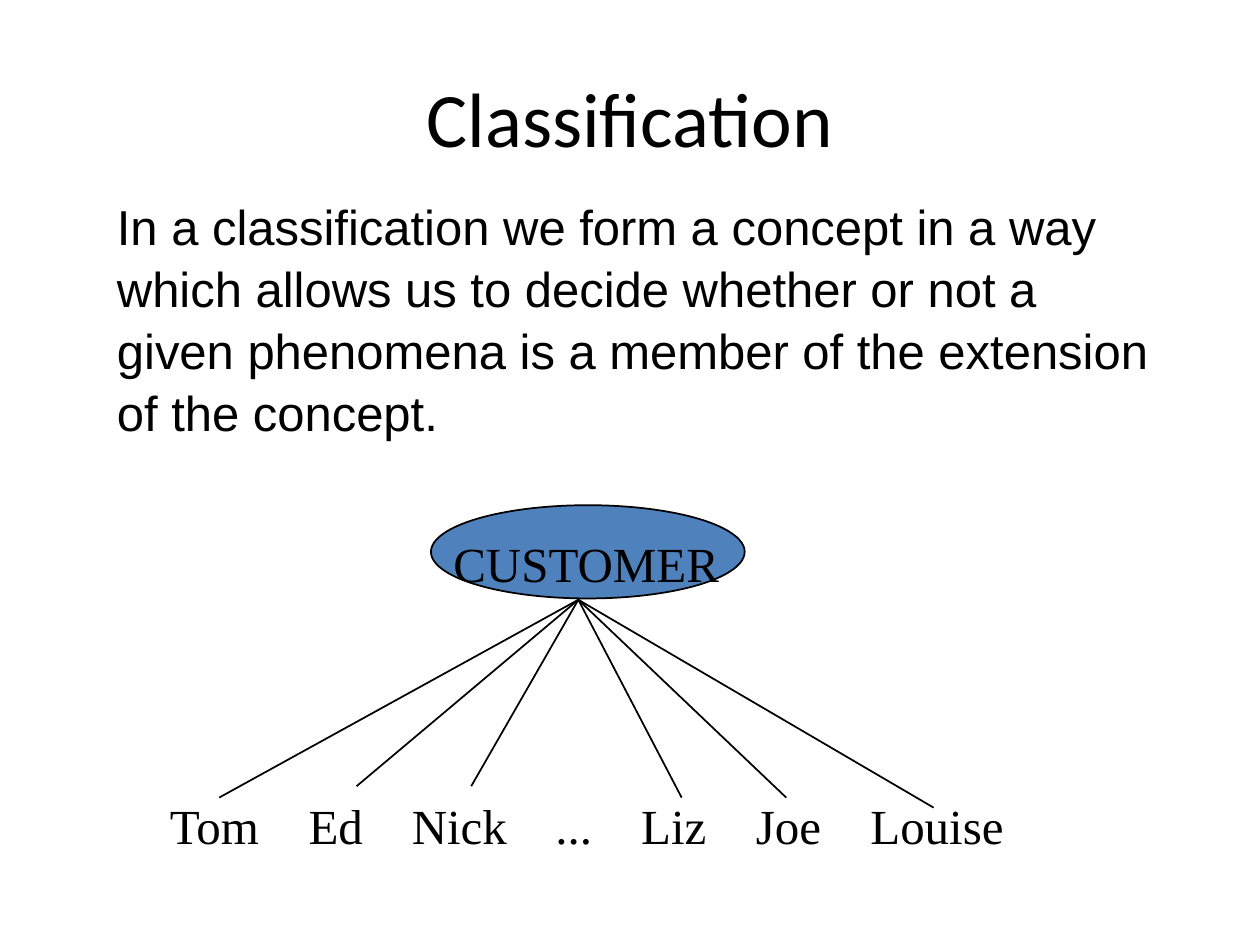
from pptx import Presentation
from pptx.dml.color import RGBColor
from pptx.enum.shapes import MSO_CONNECTOR, MSO_SHAPE
from pptx.enum.text import MSO_ANCHOR, PP_ALIGN
from pptx.oxml.ns import qn
from pptx.util import Inches, Pt
from lxml import etree

STRAIGHT = MSO_CONNECTOR.STRAIGHT
OVAL = MSO_SHAPE.OVAL
TOP, MIDDLE = MSO_ANCHOR.TOP, MSO_ANCHOR.MIDDLE
LEFT, CENTER = PP_ALIGN.LEFT, PP_ALIGN.CENTER
BLACK, BLUE = "000000", "4F81BD"
SERIF = "Times New Roman"


def color(hex_string):
    return RGBColor.from_string(hex_string)


def add_text(text, left, top, width, height, font="Arial", size=28,
             align=LEFT, anchor=TOP, spacing=1.05, tabs=()):
    box = slide.shapes.add_textbox(Inches(left), Inches(top), Inches(width), Inches(height))
    frame = box.text_frame
    frame.word_wrap = True
    frame.vertical_anchor = anchor
    paragraph = frame.paragraphs[0]
    paragraph.text = text
    paragraph.alignment = align
    paragraph.line_spacing = spacing
    if tabs:
        tab_list = etree.SubElement(paragraph._p.get_or_add_pPr(), qn("a:tabLst"))
        for position in tabs:
            etree.SubElement(tab_list, qn("a:tab"), pos=str(Inches(position)), algn="l")
    run_font = paragraph.runs[0].font
    run_font.name = font
    run_font.size = Pt(size)
    run_font.color.rgb = color(BLACK)


presentation = Presentation()
presentation.slide_width = Inches(10)
presentation.slide_height = Inches(7.5)
slide = presentation.slides.add_slide(presentation.slide_layouts[6])

# Title and definition
add_text("Classification", 0.5, 0.3, 9, 1.25, font="Calibri", size=44,
         align=CENTER, anchor=MIDDLE, spacing=1.0)
add_text("In a classification we form a concept in a way which allows us to decide "
         "whether or not a given phenomena is a member of the extension of the concept.",
         0.83, 1.49, 8.43, 1.96)

# Concept
concept = slide.shapes.add_shape(OVAL, Inches(3.42), Inches(4.01), Inches(2.49), Inches(0.74))
concept.shadow.inherit = False
concept.fill.solid()
concept.fill.fore_color.rgb = color(BLUE)
concept.line.color.rgb = color(BLACK)
concept.line.width = Pt(1)
add_text("CUSTOMER", 3.5, 4.16, 2.34, 0.56, font=SERIF)

# Members of the extension, spaced by tab stops
members = ["Tom", "Ed", "Nick", "...", "Liz", "Joe", "Louise"]
add_text("\t".join(members), 1.25, 6.24, 8.09, 0.56, font=SERIF,
         tabs=[1.1, 1.92, 3.06, 3.74, 4.65, 5.56])

# Lines from the concept to its members
for end_x, end_y in [(1.74, 6.33), (2.83, 6.24), (3.74, 6.24),
                     (5.41, 6.33), (6.24, 6.33), (7.41, 6.41)]:
    line = slide.shapes.add_connector(STRAIGHT, Inches(4.59), Inches(4.76),
                                      Inches(end_x), Inches(end_y))
    line.line.color.rgb = color(BLACK)
    line.line.width = Pt(1)
    etree.SubElement(line._element.spPr, qn("a:effectLst"))

presentation.save("out.pptx")
